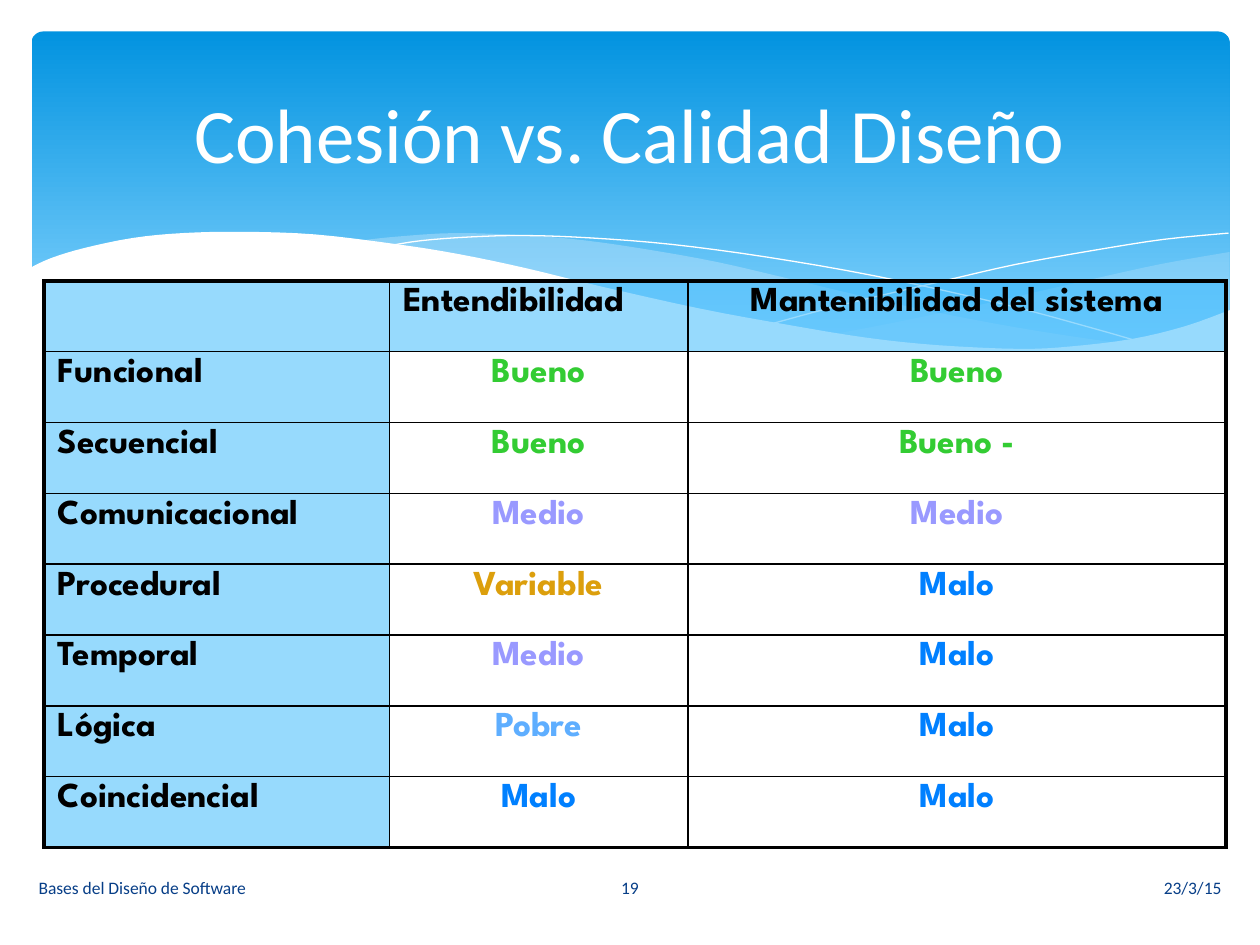
from lxml import etree
from pptx import Presentation
from pptx.dml.color import RGBColor
from pptx.enum.shapes import MSO_SHAPE
from pptx.enum.text import MSO_ANCHOR, PP_ALIGN
from pptx.oxml.ns import qn
from pptx.util import Pt

LEFT, CENTER, RIGHT = PP_ALIGN.LEFT, PP_ALIGN.CENTER, PP_ALIGN.RIGHT
MIDDLE = MSO_ANCHOR.MIDDLE
ROUNDED = MSO_SHAPE.ROUNDED_RECTANGLE

BLACK = RGBColor(0x00, 0x00, 0x00)
WHITE = RGBColor(0xFF, 0xFF, 0xFF)
NAVY = RGBColor(0x07, 0x3E, 0x87)
SKY_DARK = RGBColor(0x02, 0x93, 0xE0)
SKY_LIGHT = RGBColor(0x83, 0xD3, 0xFE)
MIST = RGBColor(0xC6, 0xE7, 0xFC)
LABEL_BLUE = RGBColor(0x31, 0xB6, 0xFD)
RATING_COLORS = {
    "Bueno": RGBColor(0x33, 0xCC, 0x33),
    "Bueno -": RGBColor(0x33, 0xCC, 0x33),
    "Medio": RGBColor(0x99, 0x99, 0xFF),
    "Variable": RGBColor(0xDC, 0x9F, 0x0C),
    "Pobre": RGBColor(0x5E, 0xAE, 0xFF),
    "Malo": RGBColor(0x00, 0x80, 0xFF),
}
BODY_FONT, TABLE_FONT = "Calibri", "League Spartan"

# Wave edges, in points from the corner of the header band
RIGHT_WAVE_TOP = [(684.7, 126), (645, 133), (602, 142.5), (543, 156), (490, 167), (458, 173)]
RIGHT_WAVE_BOTTOM = [(458, 173), (490, 177), (527, 180.7), (568, 182), (610, 179.3),
                     (645, 172.8), (665, 167), (684.7, 159.8)]
MIDDLE_WAVE_TOP = [(625, 178.6), (585, 172.8), (540, 165), (490, 154.8), (435, 141.8),
                   (392, 131.8), (352, 124.6), (317, 119.5), (284, 116.6), (242, 115.2),
                   (207, 117.4), (188, 119.5)]
MIDDLE_WAVE_BOTTOM = [(188, 119.5), (228, 125.3), (273, 134), (305, 141.8), (364, 154.8),
                      (415, 165.6), (461, 173.5), (502, 179.3), (547, 182), (585, 182),
                      (625, 178.6)]
FALLING_LINE = [(204.5, 122.4), (223, 119.5), (251, 117.4), (281.5, 116.6), (320, 118),
                (366, 121.7), (420, 128.9), (482, 139.7), (554, 155.5), (608, 170),
                (635, 177.8)]
RISING_LINE = [(423, 167), (466, 155.5), (521, 142.6), (562, 133.2), (605.5, 125.3),
               (647, 118.8), (684, 115.2)]
FRONT_WAVE_TOP = [(685.4, 159), (659, 168.5), (629, 175.7), (594, 180), (564.5, 181.4),
                  (518, 179.3), (477, 175), (433, 167.8), (382, 158.4), (324, 145.4),
                  (283, 135.4), (245, 127.4), (209.5, 121.7), (162, 116), (121, 114.5),
                  (87, 115.2), (58, 118), (30, 123.8), (11, 129.6), (-1.4, 135.4)]
FRONT_WAVE_BASE = [(-1.4, 218.9), (685.4, 218.9)]

TABLE_ROWS = [
    ("", "Entendibilidad", "Mantenibilidad del sistema"),
    ("Funcional", "Bueno", "Bueno"),
    ("Secuencial", "Bueno", "Bueno -"),
    ("Comunicacional", "Medio", "Medio"),
    ("Procedural", "Variable", "Malo"),
    ("Temporal", "Medio", "Malo"),
    ("Lógica", "Pobre", "Malo"),
    ("Coincidencial", "Malo", "Malo"),
]
COLUMN_SHARES = (2.74, 2.37, 4.27)


def write_text(text_frame, text, font=BODY_FONT, size=10, color=NAVY, bold=False, align=LEFT):
    paragraph = text_frame.paragraphs[0]
    paragraph.alignment = align
    run = paragraph.add_run()
    run.text = text
    run.font.name, run.font.size, run.font.bold = font, Pt(size), bold
    run.font.color.rgb = color


def set_fill(fill, color, opacity=100):
    fill.solid()
    fill.fore_color.rgb = color
    if opacity < 100:
        color_element = fill._xPr.find(qn("a:solidFill"))[0]
        etree.SubElement(color_element, qn("a:alpha"), val=str(opacity * 1000))


def smooth(points, steps=4):
    """Return the points of a Catmull-Rom curve through the given points."""
    padded = [points[0], *points, points[-1]]
    curve = []
    for before, start, end, after in zip(padded, padded[1:], padded[2:], padded[3:]):
        for step in range(steps):
            t = step / steps
            curve.append(tuple(
                b + ((c - a) * t + (2 * a - 5 * b + 4 * c - d) * t ** 2
                     + (3 * b - a - 3 * c + d) * t ** 3) / 2
                for a, b, c, d in zip(before, start, end, after)))
    return curve + [points[-1]]


def add_wave(slide, left, top, points, fill=None, opacity=100, line=None):
    outline = [(Pt(left + x), Pt(top + y)) for x, y in points]
    builder = slide.shapes.build_freeform(*outline[0])
    builder.add_line_segments(outline[1:], close=fill is not None)
    shape = builder.convert_to_shape()
    shape.shadow.inherit = False
    if fill is None:
        shape.fill.background()
        shape.line.color.rgb = line
        shape.line.width = Pt(0)
    else:
        set_fill(shape.fill, fill, opacity)
        shape.line.fill.background()


def add_header_band(slide, left, top, width, height):
    band = slide.shapes.add_shape(ROUNDED, Pt(left), Pt(top), Pt(width), Pt(height))
    band.adjustments[0] = 0.034
    band.shadow.inherit = False
    band.line.fill.background()
    band.fill.gradient()
    band.fill.gradient_angle = 270
    for stop, color, position in zip(band.fill.gradient_stops, (SKY_DARK, SKY_LIGHT), (0, 0.9)):
        stop.color.rgb = color
        stop.position = position

    # Waves, from back to front
    add_wave(slide, left, top, smooth(RIGHT_WAVE_TOP) + smooth(RIGHT_WAVE_BOTTOM), MIST, 29)
    add_wave(slide, left, top, smooth(MIDDLE_WAVE_TOP) + smooth(MIDDLE_WAVE_BOTTOM), MIST, 40)
    for points in (FALLING_LINE, RISING_LINE):
        add_wave(slide, left, top, smooth(points), line=WHITE)
    add_wave(slide, left, top, smooth(FRONT_WAVE_TOP) + FRONT_WAVE_BASE, WHITE)


def place_title(slide, text, left, top, width, height):
    title = slide.shapes.title
    title.left, title.top, title.width, title.height = Pt(left), Pt(top), Pt(width), Pt(height)
    title.text_frame.vertical_anchor = MIDDLE
    write_text(title.text_frame, text, size=44, color=WHITE, align=CENTER)
    # Bring the title in front of the header band
    slide.shapes._spTree.append(title._element)


def set_borders(cell, **widths):
    properties = cell._tc.get_or_add_tcPr()
    for side in "LRTB":
        line = etree.SubElement(properties, qn(f"a:ln{side}"), w=str(Pt(widths[side])))
        fill = etree.SubElement(line, qn("a:solidFill"))
        etree.SubElement(fill, qn("a:srgbClr"), val=str(BLACK))


def add_quality_table(slide, left, top, width, height):
    row_count, column_count = len(TABLE_ROWS), len(COLUMN_SHARES)
    table = slide.shapes.add_table(
        row_count, column_count, Pt(left), Pt(top), Pt(width), Pt(height)).table
    table.first_row = table.horz_banding = False
    for column, share in zip(table.columns, COLUMN_SHARES):
        column.width = Pt(width * share / sum(COLUMN_SHARES))

    for i, row in enumerate(TABLE_ROWS):
        for j, text in enumerate(row):
            cell = table.cell(i, j)
            set_borders(cell,
                        L=2.25 if j == 0 else 1, R=2.25 if j == column_count - 1 else 1,
                        T=2.25 if i == 0 else 1, B=2.25 if i == row_count - 1 else 1)
            if i == 0 or j == 0:
                set_fill(cell.fill, LABEL_BLUE, 50)
            else:
                cell.fill.background()
            cell.margin_left = cell.margin_right = Pt(7.9)
            if text:
                left_aligned = j == 0 or (i, j) == (0, 1)
                write_text(cell.text_frame, text, font=TABLE_FONT, size=20, bold=True,
                           color=RATING_COLORS.get(text, BLACK),
                           align=LEFT if left_aligned else CENTER)


def add_footer(slide, left, top, width, height):
    side_width, number_width = 298, 91.5
    parts = [
        ("23/3/15", left + width - side_width, side_width, RIGHT),
        ("Bases del Diseño de Software", left, side_width, LEFT),
        ("19", left + (width - number_width) / 2, number_width, CENTER),
    ]
    for text, part_left, part_width, align in parts:
        box = slide.shapes.add_textbox(Pt(part_left), Pt(top), Pt(part_width), Pt(height))
        box.text_frame.word_wrap = True
        box.text_frame.vertical_anchor = MIDDLE
        write_text(box.text_frame, text, align=align)


def main():
    presentation = Presentation()
    presentation.slide_width, presentation.slide_height = Pt(720), Pt(540)
    slide = presentation.slides.add_slide(presentation.slide_layouts[5])
    add_header_band(slide, 18, 18, 684.7, 194.4)
    place_title(slide, "Cohesión vs. Calidad Diseño", 36, 26.6, 648, 98.6)
    add_quality_table(slide, 25.2, 160.5, 675.4, 324)
    add_footer(slide, 15, 492.5, 690, 28.8)
    presentation.save("out.pptx")


if __name__ == "__main__":
    main()
